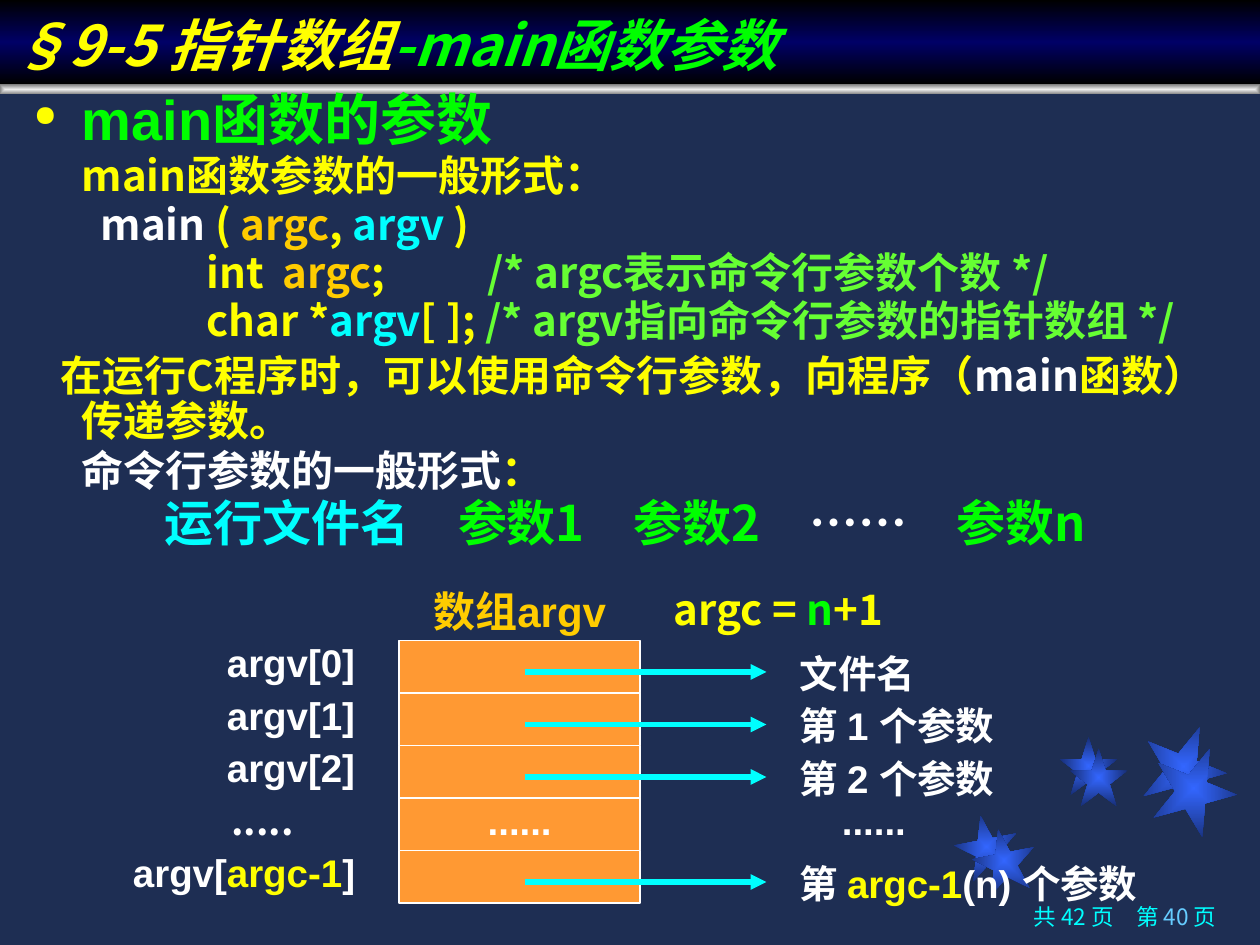
from dataclasses import dataclass
from typing import NamedTuple, Optional

from lxml.etree import SubElement
from pptx import Presentation
from pptx.dml.color import RGBColor
from pptx.enum.shapes import MSO_CONNECTOR, MSO_SHAPE
from pptx.enum.text import MSO_ANCHOR, PP_ALIGN
from pptx.oxml import parse_xml
from pptx.oxml.ns import nsdecls, qn
from pptx.util import Inches, Pt

NAVY = RGBColor(0x1E, 0x2E, 0x53)
BLACK = RGBColor(0, 0, 0)
DEEP = RGBColor(0, 0, 0x66)
BLUE = RGBColor(0x33, 0x66, 0xFF)
DUSK = RGBColor(0x18, 0x2F, 0x76)
SILVER = RGBColor(0xED, 0xED, 0xED)
GRAY = RGBColor(0x80, 0x80, 0x80)
WHITE = RGBColor(0xFF, 0xFF, 0xFF)
YELLOW = RGBColor(0xFF, 0xFF, 0)
GOLD = RGBColor(0xFF, 0xCC, 0)
GREEN = RGBColor(0, 0xFF, 0)
LIME = RGBColor(0x66, 0xFF, 0x33)
CYAN = RGBColor(0, 0xFF, 0xFF)
SKY = RGBColor(0x66, 0xCC, 0xFF)
ORANGE = RGBColor(0xFF, 0x99, 0x33)

SANS, CJK = "Arial", "Noto Sans CJK SC"
UNIT = 1 / 12  # grid step of the diagram, in inches
ROW, TOP = 5, 61  # row height and first row, in grid steps
LEFT, CENTER, RIGHT, JUST = PP_ALIGN.LEFT, PP_ALIGN.CENTER, PP_ALIGN.RIGHT, PP_ALIGN.JUSTIFY


class Box(NamedTuple):
    x: float
    y: float
    w: float
    h: float


class Bit(NamedTuple):
    text: str
    color: RGBColor = WHITE
    font: Optional[str] = None


@dataclass
class Para:
    bits: list[Bit]
    size: float = 22
    font: str = SANS
    align: PP_ALIGN = LEFT
    space: float = 1.0
    before: float = 0
    margin: float = 0
    indent: float = 0
    bold: bool = True
    italic: bool = False
    bullet: bool = False


class Star(NamedTuple):
    x: float
    y: float
    size: float
    turn: float
    dx: float
    dy: float


def grid(x: float, y: float, w: float, h: float = ROW) -> Box:
    return Box(x * UNIT, y * UNIT, w * UNIT, h * UNIT)


def blend(shape, stops: list[tuple[int, RGBColor]], line: bool = False) -> None:
    """Fill with a gradient: downwards if line is set, else from the centre out."""
    marks = "".join(f'<a:gs pos="{at * 1000}"><a:srgbClr val="{color}"/></a:gs>' for at, color in stops)
    way = ('<a:lin ang="5400000" scaled="0"/>' if line else
           '<a:path path="rect"><a:fillToRect l="50000" t="50000" r="50000" b="50000"/></a:path>')
    fill = parse_xml(f'<a:gradFill {nsdecls("a")} rotWithShape="1"><a:gsLst>{marks}</a:gsLst>{way}</a:gradFill>')
    shape._element.spPr.find(qn("a:prstGeom")).addnext(fill)


def block(slide, kind: MSO_SHAPE, box: Box):
    shape = slide.shapes.add_shape(kind, *map(Inches, box))
    shape.shadow.inherit = False
    shape.line.fill.background()
    return shape


def write(shape, paras: list[Para], anchor=MSO_ANCHOR.MIDDLE, wrap: bool = False) -> None:
    frame = shape.text_frame
    frame.word_wrap, frame.vertical_anchor = wrap, anchor
    for i, item in enumerate(paras):
        para = frame.add_paragraph() if i else frame.paragraphs[0]
        props = para._p.get_or_add_pPr()
        props.set("marL", str(Inches(item.margin)))
        props.set("indent", str(Inches(item.indent)))
        if item.bullet:
            SubElement(SubElement(props, qn("a:buClr")), qn("a:srgbClr"), val=str(YELLOW))
            SubElement(props, qn("a:buSzPct"), val="52000")
            SubElement(props, qn("a:buChar"), char="●")
        else:
            SubElement(props, qn("a:buNone"))
        para.alignment, para.line_spacing = item.align, item.space
        para.space_before = Pt(item.before)
        for bit in item.bits:
            run = para.add_run()
            run.text = bit.text
            font = run.font
            font.size, font.bold, font.italic = Pt(item.size), item.bold, item.italic
            font.color.rgb = bit.color
            font.name = bit.font or item.font
            SubElement(run._r.get_or_add_rPr(), qn("a:ea"), typeface=CJK)


def label(slide, box: Box, para: Para, **how) -> None:
    write(slide.shapes.add_textbox(*map(Inches, box)), [para], **how)


def arrow(slide, y: float) -> None:
    x1, x2, at = (Inches(n * UNIT) for n in (50, 73, y))
    line = slide.shapes.add_connector(MSO_CONNECTOR.STRAIGHT, x1, at, x2, at)
    line.line.color.rgb, line.line.width = CYAN, Pt(3)
    SubElement(line.line._get_or_add_ln(), qn("a:tailEnd"), type="triangle")
    SubElement(line._element.spPr, qn("a:effectLst"))


def code(bits: list[Bit], **more) -> Para:
    style = dict(size=24, font=CJK, align=JUST, space=0.75, before=6) | more
    return Para(bits, **style)


STARS = [Star(7.58, 6.47, 0.5, -11, 0.14, 0.11), Star(8.41, 5.85, 0.46, 0, 0.08, 0.09),
         Star(9.06, 5.75, 0.67, 22, 0.08, 0.17)]

BODY = [
    code([Bit("main函数的参数", GREEN)], size=32, font=SANS, before=0, margin=0.38, indent=-0.38, bullet=True),
    code([Bit("main函数参数的一般形式：", YELLOW)], margin=0.38),
    code([Bit("main "), Bit("( ", YELLOW), Bit("argc", GOLD), Bit(", ", YELLOW), Bit("argv", CYAN),
          Bit(" )", YELLOW)], margin=0.53),
    code([Bit("int ", YELLOW), Bit(" argc", GOLD), Bit(";\t", YELLOW),
          Bit("/* argc表示命令行参数个数 */", LIME)], margin=3.6, indent=-2.23),
    code([Bit("char *", YELLOW), Bit("argv", CYAN), Bit("[ ]; ", YELLOW),
          Bit("/* argv指向命令行参数的指针数组 */", LIME)], margin=1.37),
    code([Bit("在运行C程序时，可以使用命令行参数，向程序（", YELLOW), Bit("main"),
          Bit("函数）传递参数。", YELLOW)], space=0.9, margin=0.38, indent=-0.17),
    code([Bit("命令行参数的一般形式"), Bit("：", YELLOW)], margin=0.38),
    code([Bit("运行文件名　", CYAN), Bit("参数1　参数2　", GREEN), Bit("……　", WHITE, SANS),
          Bit("参数n", GREEN)], size=28, align=CENTER, before=7, margin=0.38, indent=-0.3),
]

NAMES = [[Bit("argv[0]")], [Bit("argv[1]")], [Bit("argv[2]")], [Bit(".....", WHITE, CJK)],
         [Bit("argv["), Bit("argc-1", YELLOW), Bit("]")]]
DOTS = [Bit("......")]
VALUES = [[Bit("文件名")], [Bit("第 1 个参数")], [Bit("第 2 个参数")], DOTS,
          [Bit("第 "), Bit("argc-1", YELLOW), Bit("(n) 个参数")]]


def decor(slide) -> None:
    for step in (0, 1):
        for star in STARS:
            box = Box(star.x + step * star.dx, star.y + step * star.dy, star.size, star.size)
            shape = block(slide, MSO_SHAPE.STAR_5_POINT, box)
            shape.rotation = star.turn
            blend(shape, [(0, BLUE), (100, DUSK)])
    blend(block(slide, MSO_SHAPE.RECTANGLE, Box(0, 0.67, 10, 0.08)), [(0, SILVER), (100, GRAY)])


def diagram(slide) -> None:
    for i, (name, value) in enumerate(zip(NAMES, VALUES)):
        y, gap = TOP + i * ROW, value is DOTS
        cell = block(slide, MSO_SHAPE.RECTANGLE, grid(38, y, 23))
        cell.fill.solid()
        cell.fill.fore_color.rgb = ORANGE
        cell.line.color.rgb, cell.line.width = WHITE, Pt(1)
        if gap:
            label(slide, grid(13.5, y, 23), Para(name, align=CENTER, space=0.8))
            write(cell, [Para(DOTS, align=CENTER, space=0.8)])
            label(slide, grid(79, y, 18), Para(value, space=0.8))
        else:
            label(slide, grid(9, y, 26), Para(name, align=RIGHT, space=0.8))
            label(slide, grid(75, y + 1, 40), Para(value, space=0.8))
            arrow(slide, y + 3)
    label(slide, grid(38, 56, 23), Para([Bit("数组argv", GOLD)], size=24, align=CENTER, space=0.9))
    label(slide, grid(63, 55, 27, 6), Para([Bit("argc = ", YELLOW), Bit("n", GREEN), Bit("+1", YELLOW)],
                                           size=24, font=CJK), anchor=MSO_ANCHOR.TOP, wrap=True)


def main() -> None:
    deck = Presentation()
    deck.slide_width, deck.slide_height = Inches(10), Inches(7.5)
    slide = deck.slides.add_slide(deck.slide_layouts[6])
    slide.background.fill.solid()
    slide.background.fill.fore_color.rgb = NAVY
    decor(slide)
    label(slide, Box(7.12, 7.14, 2.63, 0.36),
          Para([Bit("共 42 页　第 ", CYAN), Bit("40 ", SKY), Bit("页", CYAN)], size=12.9, font=CJK,
               align=RIGHT, space=0.9, bold=False), anchor=MSO_ANCHOR.TOP, wrap=True)
    body = slide.shapes.add_textbox(*map(Inches, Box(0.17, 0.75, 9.5, 4.17)))
    write(body, BODY, anchor=MSO_ANCHOR.TOP, wrap=True)
    diagram(slide)
    title = block(slide, MSO_SHAPE.RECTANGLE, Box(0, 0, 10, 0.67))
    blend(title, [(0, BLACK), (50, DEEP), (100, BLACK)], line=True)
    write(title, [Para([Bit("§9-5 指针数组", YELLOW), Bit("-main函数参数", GREEN)], size=32, font=CJK,
                       italic=True)], anchor=MSO_ANCHOR.BOTTOM, wrap=True)
    deck.save("out.pptx")


if __name__ == "__main__":
    main()
